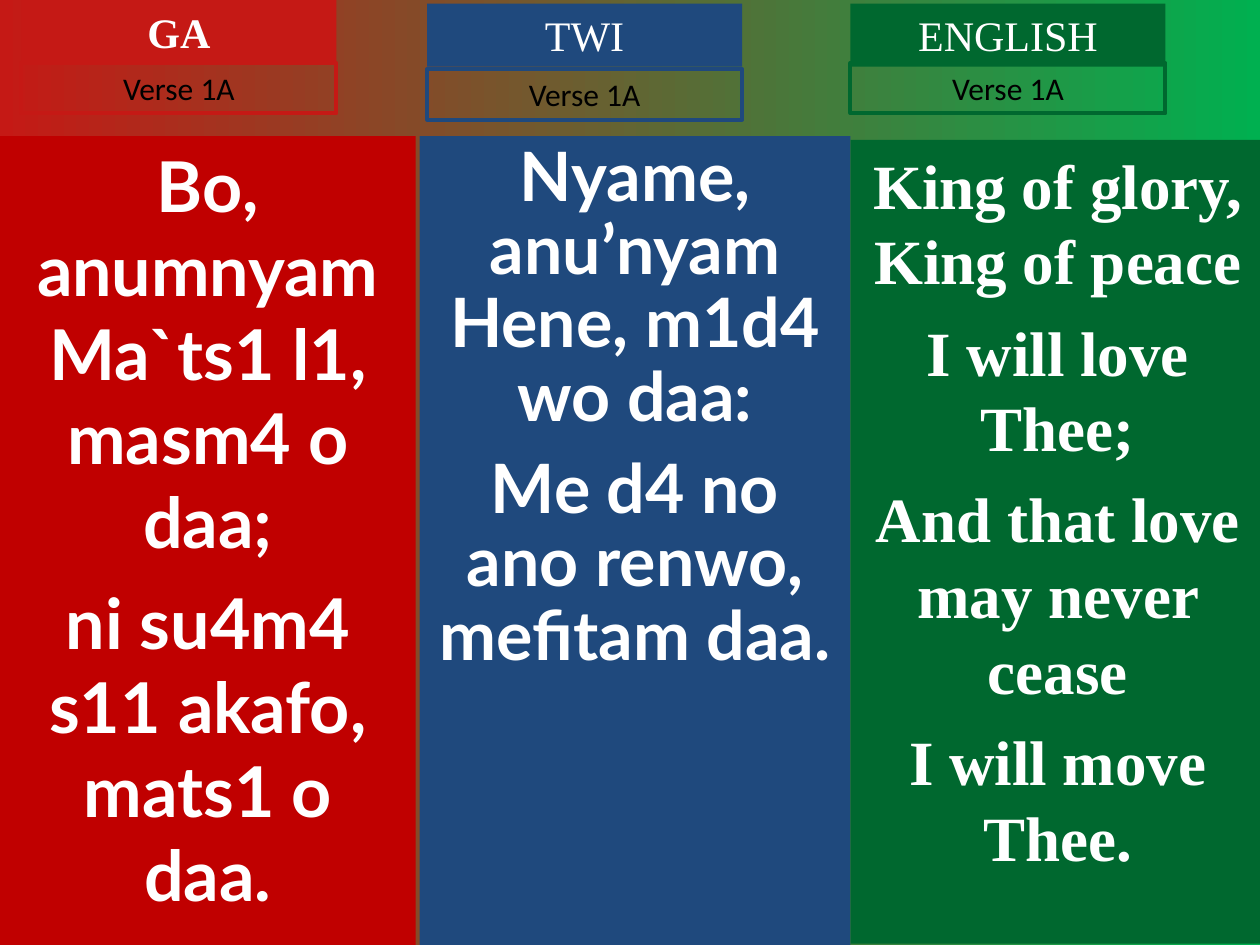
"""Build a hymn slide with one verse in three languages side by side."""
from pptx import Presentation
from pptx.dml.color import RGBColor
from pptx.enum.shapes import MSO_SHAPE
from pptx.enum.text import MSO_ANCHOR, PP_ALIGN
from pptx.util import Inches, Pt

RECTANGLE = MSO_SHAPE.RECTANGLE
TOP = MSO_ANCHOR.TOP
CENTER = PP_ALIGN.CENTER

WHITE, BLACK = "FFFFFF", "000000"
BACKGROUND = ("C51915", "00B050")
VERSE = "Verse 1A"
HEADING_SIZE = (2.5, 0.5)
LABEL_SIZE = (2.5, 0.4)

LANGUAGES = [
    {
        "heading": "GA", "bold": True, "color": "C51915",
        "heading_at": (0.17, 0), "label_at": (0.17, 0.5),
        "panel": (0, 1.08, 3.3, 6.42), "panel_color": "C00000",
        "font": {"name": "Lato", "size": Pt(40), "bold": True},
        "spacing": {"space_before": Pt(10)},
        "lyrics": ["Bo, anumnyam Ma`ts1 l1, masm4 o daa;",
                   "ni su4m4 s11 akafo, mats1 o daa."],
    },
    {
        "heading": "TWI", "bold": False, "color": "1F497D",
        "heading_at": (3.39, 0.03), "label_at": (3.39, 0.55),
        "panel": (3.33, 1.08, 3.42, 6.42), "panel_color": "1F497D",
        "font": {"name": "Lato", "size": Pt(38.9), "bold": True},
        "spacing": {"space_before": Pt(10.5), "line_spacing": 0.9},
        "lyrics": ["Nyame, anu’nyam Hene, m1d4 wo daa:",
                   "Me d4 no ano renwo, mefitam daa."],
    },
    {
        "heading": "ENGLISH", "bold": False, "color": "00682F",
        "heading_at": (6.75, 0.03), "label_at": (6.75, 0.5),
        "panel": (6.75, 1.11, 3.29, 6.38), "panel_color": "00682F",
        "font": {"name": "Times New Roman", "size": Pt(36), "bold": True},
        "spacing": {"space_before": Pt(9)},
        "lyrics": ["King of glory, King of peace", "I will love Thee;",
                   "And that love may never cease", "I will move Thee."],
    },
]


def rgb(value):
    return RGBColor.from_string(value)


def apply(target, values):
    for name, value in values.items():
        setattr(target, name, value)


def add_box(slide, place, lines, font, color, fill=None, outline=None, spacing=None):
    box = slide.shapes.add_shape(RECTANGLE, *map(Inches, place))
    box.shadow.inherit = False
    if fill:
        box.fill.solid()
        box.fill.fore_color.rgb = rgb(fill)
    else:
        box.fill.background()
    if outline:
        box.line.color.rgb = rgb(outline)
        box.line.width = Pt(2.25)
    else:
        box.line.fill.background()
    frame = box.text_frame
    apply(frame, {"word_wrap": True, "vertical_anchor": TOP})
    for index, line in enumerate(lines):
        paragraph = frame.add_paragraph() if index else frame.paragraphs[0]
        paragraph.alignment = CENTER
        apply(paragraph, spacing or {})
        if index == 0:
            paragraph.space_before = Pt(0)
        run = paragraph.add_run()
        run.text = line
        apply(run.font, font)
        run.font.color.rgb = rgb(color)


def main():
    deck = Presentation()
    deck.slide_width, deck.slide_height = Inches(10), Inches(7.5)
    slide = deck.slides.add_slide(deck.slide_layouts[6])
    background = slide.background.fill
    background.gradient()
    background.gradient_angle = 0
    for stop, color, position in zip(background.gradient_stops, BACKGROUND, (0, 1)):
        stop.color.rgb = rgb(color)
        stop.position = position

    label_font = {"name": "Calibri", "size": Pt(18)}
    for language in LANGUAGES:
        heading_font = {"name": "Times New Roman", "size": Pt(24), "bold": language["bold"]}
        add_box(slide, language["panel"], language["lyrics"], language["font"], WHITE,
                fill=language["panel_color"], spacing=language["spacing"])
        add_box(slide, language["heading_at"] + HEADING_SIZE, [language["heading"]],
                heading_font, WHITE, fill=language["color"])
        add_box(slide, language["label_at"] + LABEL_SIZE, [VERSE], label_font, BLACK,
                outline=language["color"])
    deck.save("out.pptx")


if __name__ == "__main__":
    main()
